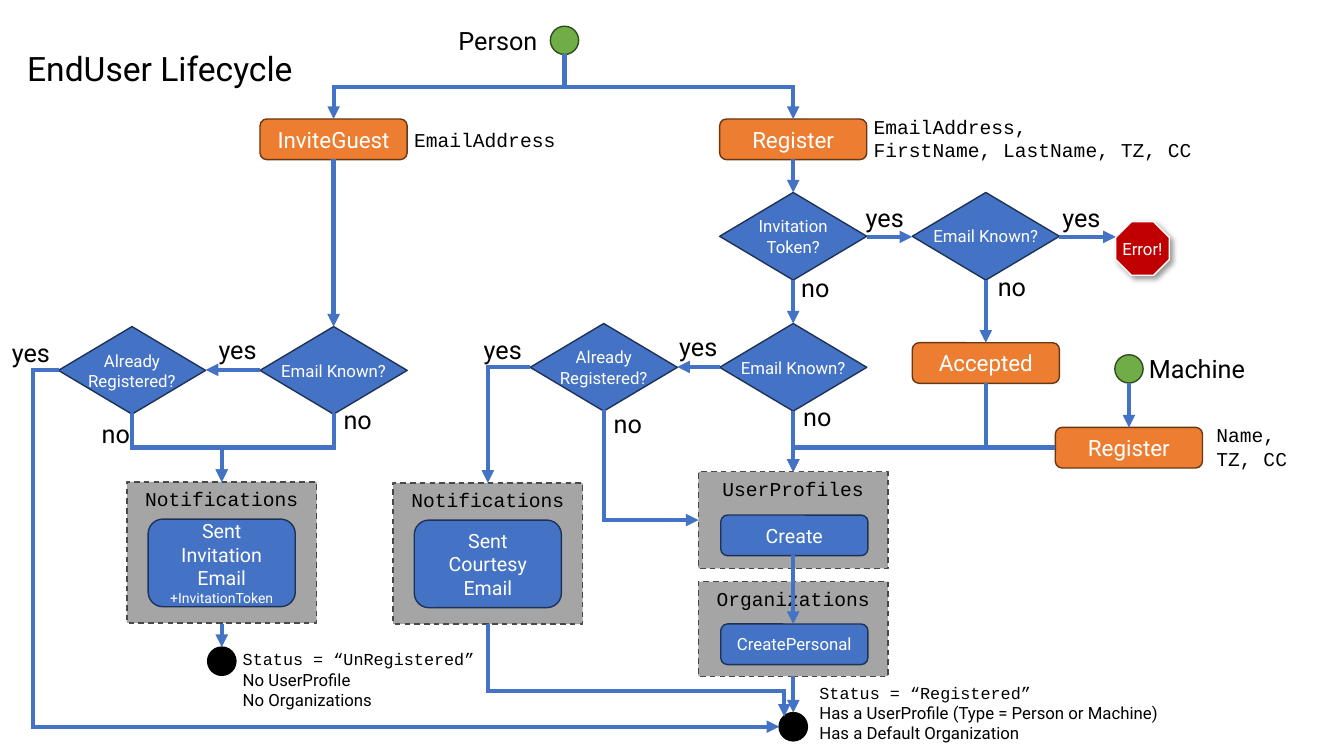
from dataclasses import dataclass

from pptx import Presentation
from pptx.dml.color import RGBColor
from pptx.enum.dml import MSO_LINE_DASH_STYLE as Dash
from pptx.enum.shapes import MSO_CONNECTOR as ConnectorType, MSO_SHAPE as Preset
from pptx.enum.text import MSO_ANCHOR as Anchor, MSO_AUTO_SIZE as AutoSize, PP_ALIGN as Align
from pptx.oxml.ns import qn
from pptx.util import Pt
from lxml.etree import SubElement


# Colours, fonts and type sizes
@dataclass(frozen=True)
class Theme:
    sans: str = "Roboto"
    mono: str = "Courier New"
    black: str = "000000"
    white: str = "FFFFFF"
    blue: str = "4472C4"
    blue_edge: str = "1E3256"
    orange: str = "ED7D31"
    orange_edge: str = "683715"
    green: str = "70AD47"
    green_edge: str = "314C1F"
    gray: str = "A5A5A5"
    gray_edge: str = "484848"
    red: str = "C00000"
    title: int = 24
    label: int = 18
    command: int = 16
    body: int = 14
    small: int = 12
    tiny: int = 10


THEME = Theme()


@dataclass(frozen=True)
class Line:
    text: str
    font: str = THEME.sans
    size: float = THEME.small


@dataclass(frozen=True)
class Style:
    preset: Preset
    fill: str
    edge: str
    width: float
    height: float
    font: str = THEME.sans
    size: float = THEME.small
    color: str = THEME.white
    anchor: Anchor = Anchor.MIDDLE
    wrap: bool = True
    dashed: bool = False


@dataclass(frozen=True)
class Node:
    style: Style
    center: float
    top: float
    lines: tuple = ()
    height: float | None = None
    size: float | None = None


@dataclass(frozen=True)
class Label:
    left: float
    top: float
    width: float
    height: float
    lines: tuple
    font: str = THEME.sans
    size: float = THEME.label


@dataclass(frozen=True)
class Arrow:
    x1: float
    y1: float
    x2: float
    y2: float
    bends: int = 0
    vertical: bool = False  # first leg runs down
    turn: float = 0.5


COMMAND = Style(Preset.ROUNDED_RECTANGLE, THEME.orange, THEME.orange_edge, 105.1, 29, size=THEME.command)
ACTION = Style(Preset.ROUNDED_RECTANGLE, THEME.blue, THEME.blue_edge, 105.1, 29, size=THEME.body)
DECISION = Style(Preset.FLOWCHART_DECISION, THEME.blue, THEME.blue_edge, 105.1, 62.6, wrap=False)
GROUP = Style(Preset.RECTANGLE, THEME.gray, THEME.gray_edge, 135.4, 100.8, THEME.mono, THEME.body,
              THEME.black, Anchor.TOP, dashed=True)
START = Style(Preset.OVAL, THEME.green, THEME.green_edge, 20.2, 20.2)
END = Style(Preset.OVAL, THEME.black, THEME.black, 20.2, 20.2)
STOP = Style(Preset.OCTAGON, THEME.red, THEME.white, 38.2, 38.2, wrap=False)

# Column centres
KNOWN, INVITED, GUEST, COURTESY = 94.3, 158.4, 238.3, 348.5
PERSON, REPEAT, MAIN, TOKEN, MACHINE = 403.2, 431.3, 566.6, 704.2, 806.4

NODES = [
    Node(GROUP, MAIN, 337, ("UserProfiles",), 69.1),
    Node(GROUP, MAIN, 415.4, ("Organizations",), 67.7),
    Node(GROUP, COURTESY, 344.9, ("Notifications",)),
    Node(GROUP, INVITED, 344.2, ("Notifications",)),
    Node(START, PERSON, 18.7),
    Node(START, MACHINE, 253.4),
    Node(END, MAIN, 509),
    Node(END, INVITED, 462.2),
    Node(COMMAND, GUEST, 85, ("InviteGuest",)),
    Node(COMMAND, MAIN, 85, ("Register",)),
    Node(COMMAND, TOKEN, 244.8, ("Accepted",)),
    Node(COMMAND, MACHINE, 305.3, ("Register",)),
    Node(DECISION, MAIN, 137.5, ("Invitation", "Token?")),
    Node(DECISION, TOKEN, 137.5, ("Email Known?",)),
    Node(DECISION, MAIN, 231.1, ("Email Known?",)),
    Node(DECISION, REPEAT, 231.1, ("Already", "Registered?")),
    Node(DECISION, GUEST, 233.3, ("Email Known?",)),
    Node(DECISION, KNOWN, 233.3, ("Already", "Registered?")),
    Node(ACTION, 567.4, 367.9, ("Create",)),
    Node(ACTION, 567.4, 445.7, ("CreatePersonal",), size=THEME.small),
    Node(ACTION, COURTESY, 371.5, ("Sent Courtesy", "Email"), 62.6),
    Node(ACTION, INVITED, 370.8, ("Sent Invitation", "Email",
                                  Line("+InvitationToken", size=THEME.tiny)), 62.6),
]

ARROWS = [
    Arrow(PERSON, 38.9, MAIN, 85, 2, True),
    Arrow(PERSON, 38.9, GUEST, 85, 2, True),
    Arrow(GUEST, 113.8, GUEST, 233.3),
    Arrow(MAIN, 113.8, MAIN, 137.5),
    Arrow(MAIN, 200.2, MAIN, 231.1),
    Arrow(MAIN, 293.8, MAIN, 337),
    Arrow(MAIN, 396.7, MAIN, 445.7),
    Arrow(MAIN, 483.1, MAIN, 509),
    Arrow(MACHINE, 273.6, MACHINE, 305.3),
    Arrow(INVITED, 445.7, INVITED, 462.2),
    Arrow(TOKEN, 200.2, TOKEN, 244.8),
    Arrow(514.1, 262.1, 483.8, 262.1),
    Arrow(185.8, 264.2, 146.9, 264.2),
    Arrow(619.2, 169.2, 651.6, 169.2),
    Arrow(756.7, 169.2, 797, 169.2),
    Arrow(REPEAT, 293, 499, 371.5, 1, True),
    Arrow(378.7, 262.1, COURTESY, 344.9, 1),
    Arrow(753.8, 319.7, MAIN, 337, 1),
    Arrow(41.8, 264.2, 556.6, 519.1, 2, turn=-0.035),
    Arrow(GUEST, 295.2, INVITED, 344.2, 2, True),
    Arrow(KNOWN, 295.2, INVITED, 344.2, 2, True),
    Arrow(COURTESY, 445.7, 560.2, 511.9, 2, True, 0.727),
    Arrow(TOKEN, 273.6, MAIN, 337, 2, True, 0.718),
]

YES_SPOTS = [(478.1, 233.3), (338.4, 235.4), (149, 235.4), (1.4, 237.6), (611.3, 141.1), (751.7, 141.1)]
NO_SPOTS = [(566.6, 283), (431.3, 288), (238.3, 285.1), (65.5, 295.2), (565.2, 190.8), (705.6, 190.1)]
LABELS = [
    Label(320.4, 14.4, 71.3, 28.8, ("Person",)),
    Label(813.6, 249.1, 83.5, 28.8, ("Machine",)),
    Label(288.7, 87.8, 115.9, 24.5, ("EmailAddress",), THEME.mono, THEME.body),
    Label(617, 78.5, 242.6, 41, ("EmailAddress,", "FirstName, LastName, TZ, CC"), THEME.mono, THEME.body),
    Label(861.8, 298.8, 65.5, 41, ("Name,", "TZ, CC"), THEME.mono, THEME.body),
    Label(578.2, 483.8, 259.9, 51.1, (Line("Status = “Registered”", THEME.mono),
          "Has a UserProfile (Type = Person or Machine)", "Has a Default Organization"), size=THEME.small),
    Label(166.3, 460.1, 182.9, 51.1, (Line("Status = “UnRegistered”", THEME.mono),
          "No UserProfile", "No Organizations"), size=THEME.small),
    *[Label(left, top, 41.8, 28.8, ("yes",)) for left, top in YES_SPOTS],
    *[Label(left, top, 34.6, 28.8, ("no",)) for left, top in NO_SPOTS],
]


def write_text(frame, lines, *, font=THEME.sans, size=THEME.small, color=THEME.black, align=Align.LEFT,
               anchor=Anchor.TOP, wrap=False, auto_size=AutoSize.NONE, spacing=None) -> None:
    frame.word_wrap, frame.auto_size, frame.vertical_anchor = wrap, auto_size, anchor
    for index, entry in enumerate(lines):
        line = entry if isinstance(entry, Line) else Line(entry, font, size)
        paragraph = frame.paragraphs[0] if index == 0 else frame.add_paragraph()
        paragraph.alignment, paragraph.line_spacing = align, spacing
        run = paragraph.add_run()
        run.text = line.text
        run.font.name, run.font.size = line.font, Pt(line.size)
        run.font.color.rgb = RGBColor.from_string(color)


def draw_node(slide, node: Node):
    style = node.style
    shape = slide.shapes.add_shape(style.preset, Pt(node.center - style.width / 2), Pt(node.top),
                                   Pt(style.width), Pt(node.height or style.height))
    shape.shadow.inherit = False
    shape.fill.solid()
    shape.fill.fore_color.rgb = RGBColor.from_string(style.fill)
    shape.line.color.rgb = RGBColor.from_string(style.edge)
    shape.line.width = Pt(1)
    if style.dashed:
        shape.line.dash_style = Dash.DASH
    write_text(shape.text_frame, node.lines, font=style.font, size=node.size or style.size,
               color=style.color, align=Align.CENTER, anchor=style.anchor, wrap=style.wrap)
    return shape


def draw_arrow(slide, arrow: Arrow) -> None:
    x1, y1, x2, y2 = arrow.x1, arrow.y1, arrow.x2, arrow.y2
    turned = arrow.bends > 0 and arrow.vertical
    if turned:  # lay the elbow on its side around the same centre
        middle_x, middle_y = (x1 + x2) / 2, (y1 + y2) / 2
        half_width, half_height = (y2 - y1) / 2, abs(x2 - x1) / 2
        side = 1 if x2 < x1 else -1
        x1, x2 = middle_x - side * half_width, middle_x + side * half_width
        y1, y2 = middle_y - half_height, middle_y + half_height
    kind = ConnectorType.ELBOW if arrow.bends else ConnectorType.STRAIGHT
    connector = slide.shapes.add_connector(kind, Pt(x1), Pt(y1), Pt(x2), Pt(y2))
    if turned:
        connector.rotation = 90 if side == 1 else 270
    connector.line.color.rgb = RGBColor.from_string(THEME.blue)
    connector.line.width = Pt(3)
    properties = connector._element.spPr
    outline = properties.find(qn("a:ln"))
    SubElement(outline, qn("a:miter"), lim="800000")
    SubElement(outline, qn("a:tailEnd"), type="triangle")
    SubElement(properties, qn("a:effectLst"))
    geometry = properties.find(qn("a:prstGeom"))
    if arrow.bends == 1:
        geometry.set("prst", "bentConnector2")
    elif arrow.bends == 2:
        SubElement(geometry.find(qn("a:avLst")), qn("a:gd"), name="adj1",
                   fmla=f"val {round(arrow.turn * 100000)}")


def draw_label(slide, label: Label) -> None:
    box = slide.shapes.add_textbox(Pt(label.left), Pt(label.top), Pt(label.width), Pt(label.height))
    write_text(box.text_frame, label.lines, font=label.font, size=label.size,
               auto_size=AutoSize.SHAPE_TO_FIT_TEXT)


def draw_error(slide) -> None:
    shape = draw_node(slide, Node(STOP, 816.1, 158.4, ("Error!",)))
    effects = shape._element.spPr.find(qn("a:effectLst"))
    shadow = SubElement(effects, qn("a:outerShdw"), blurRad=str(Pt(4)), dist=str(Pt(3)),
                        dir="2700000", algn="tl", rotWithShape="0")
    color = SubElement(shadow, qn("a:srgbClr"), val=THEME.black)
    SubElement(color, qn("a:alpha"), val="40000")


def main() -> None:
    presentation = Presentation()
    presentation.slide_width, presentation.slide_height = Pt(960), Pt(540)
    slide = presentation.slides.add_slide(presentation.slide_layouts[5])
    title = slide.shapes.title
    title.left, title.top, title.width, title.height = Pt(12.2), Pt(28.8), Pt(220.3), Pt(43.2)
    write_text(title.text_frame, ("EndUser Lifecycle",), size=THEME.title, anchor=Anchor.MIDDLE,
               wrap=True, spacing=0.9)
    for node in NODES:
        draw_node(slide, node)
    for arrow in ARROWS:
        draw_arrow(slide, arrow)
    for label in LABELS:
        draw_label(slide, label)
    draw_error(slide)
    presentation.save("out.pptx")


if __name__ == "__main__":
    main()
